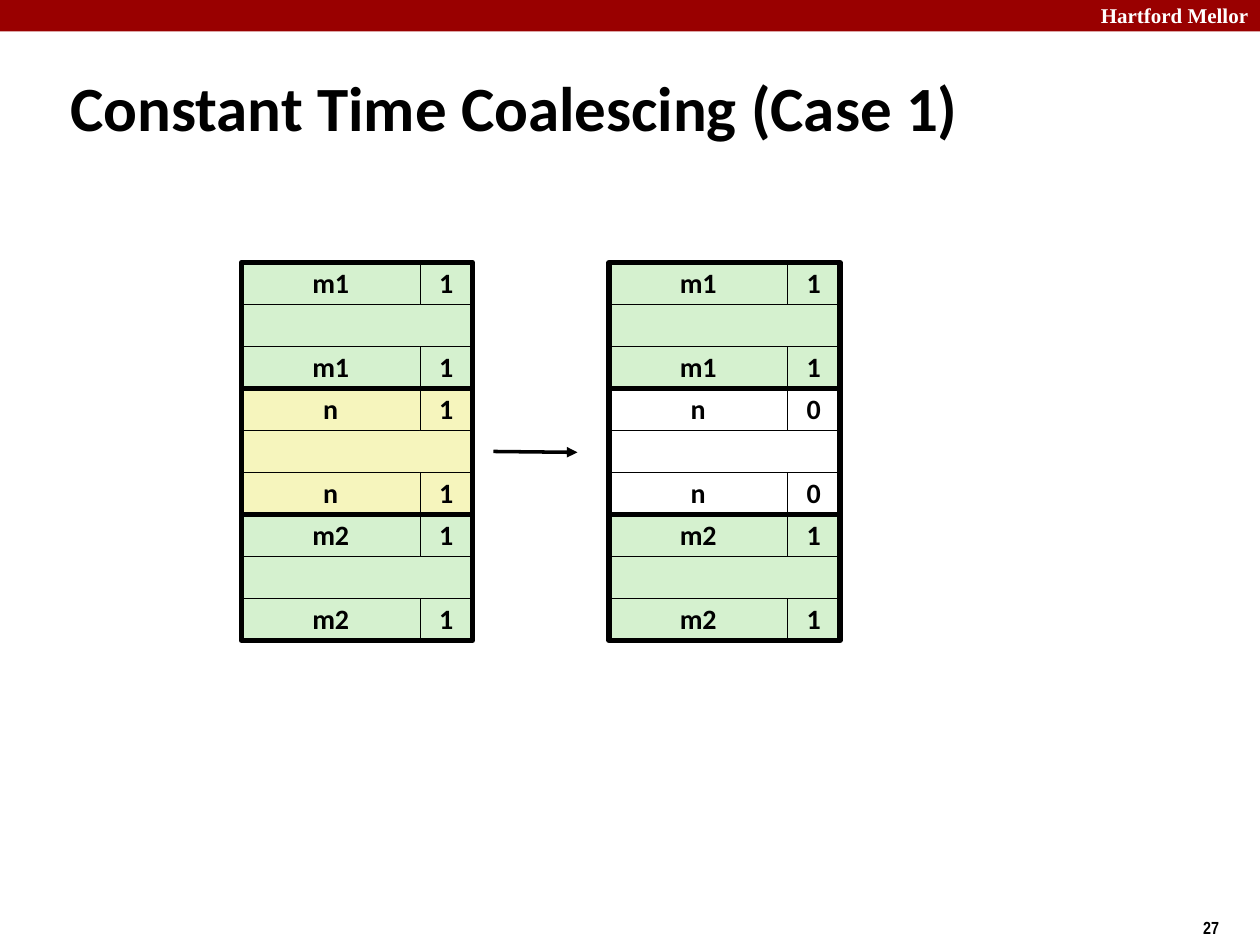
"""Builds the slide on constant time coalescing, case 1."""
from lxml.etree import SubElement
from pptx import Presentation
from pptx.dml.color import RGBColor
from pptx.enum.shapes import MSO_CONNECTOR, MSO_SHAPE
from pptx.enum.text import MSO_ANCHOR, PP_ALIGN
from pptx.oxml.ns import qn
from pptx.util import Pt

BLACK = RGBColor(0x00, 0x00, 0x00)
WHITE = RGBColor(0xFF, 0xFF, 0xFF)
RED = RGBColor(0x99, 0x00, 0x00)
GREEN = RGBColor(0xD5, 0xF1, 0xCF)
YELLOW = RGBColor(0xF6, 0xF5, 0xBD)

TOP, ROW = 150, 24
WIDE, NARROW = 102, 30
FULL = WIDE + NARROW

deck = Presentation()
deck.slide_width, deck.slide_height = Pt(720), Pt(540)
slide = deck.slides.add_slide(deck.slide_layouts[5])
shapes = slide.shapes


def write(shape, text, size, font, color=BLACK, align=PP_ALIGN.LEFT):
    frame = shape.text_frame
    frame.text = text
    frame.word_wrap = False
    line = frame.paragraphs[0]
    line.alignment = align
    style = line.runs[0].font
    style.size, style.name, style.bold = Pt(size), font, True
    style.color.rgb = color


def draw(left, top, width, height, fill=None, weight=0):
    box = shapes.add_shape(MSO_SHAPE.RECTANGLE, Pt(left), Pt(top), Pt(width), Pt(height))
    box.shadow.inherit = False
    if fill is None:
        box.fill.background()
    else:
        box.fill.solid()
        box.fill.fore_color.rgb = fill
    if weight:
        box.line.color.rgb = BLACK
        box.line.width = Pt(weight)
    else:
        box.line.fill.background()
    return box


draw(0, 0, 720, 18, RED)
header = shapes.add_textbox(Pt(622), Pt(-2), Pt(103), Pt(22))
write(header, "Hartford Mellor", 12, "Times New Roman", WHITE)
number = shapes.add_textbox(Pt(680.4), Pt(520.5), Pt(54), Pt(19.5))
write(number, "27", 10, "Arial Narrow")

title = shapes.title
title.left, title.top, title.width, title.height = Pt(33), Pt(38), Pt(654), Pt(45)
write(title, "Constant Time Coalescing (Case 1)", 36, "Calibri")
title.text_frame.word_wrap = True
title.text_frame.vertical_anchor = MSO_ANCHOR.MIDDLE

heaps = [
    (138, [("m1", "1", GREEN), ("n", "1", YELLOW), ("m2", "1", GREEN)]),
    (348, [("m1", "1", GREEN), ("n", "0", WHITE), ("m2", "1", GREEN)]),
]
for left, blocks in heaps:
    for index, (name, flag, fill) in enumerate(blocks):
        top = TOP + index * 3 * ROW
        draw(left, top + ROW, FULL, ROW, fill, 0.25)
        for tag in (top, top + 2 * ROW):
            for start, width, text in ((left, WIDE, name), (left + WIDE, NARROW, flag)):
                cell = draw(start, tag, width, ROW, fill, 0.25)
                write(cell, text, 16, "Calibri", align=PP_ALIGN.CENTER)
                cell.text_frame.vertical_anchor = MSO_ANCHOR.MIDDLE
                cell.text_frame.paragraphs[0].line_spacing = 0.98
        draw(left, top, FULL, 3 * ROW, weight=3)

arrow = shapes.add_connector(MSO_CONNECTOR.STRAIGHT, Pt(282), Pt(258), Pt(330), Pt(258.5))
arrow.line.color.rgb = BLACK
arrow.line.width = Pt(2)
SubElement(arrow.line._get_or_add_ln(), qn("a:tailEnd"), type="triangle")
SubElement(arrow._element.spPr, qn("a:effectLst"))

deck.save("out.pptx")
